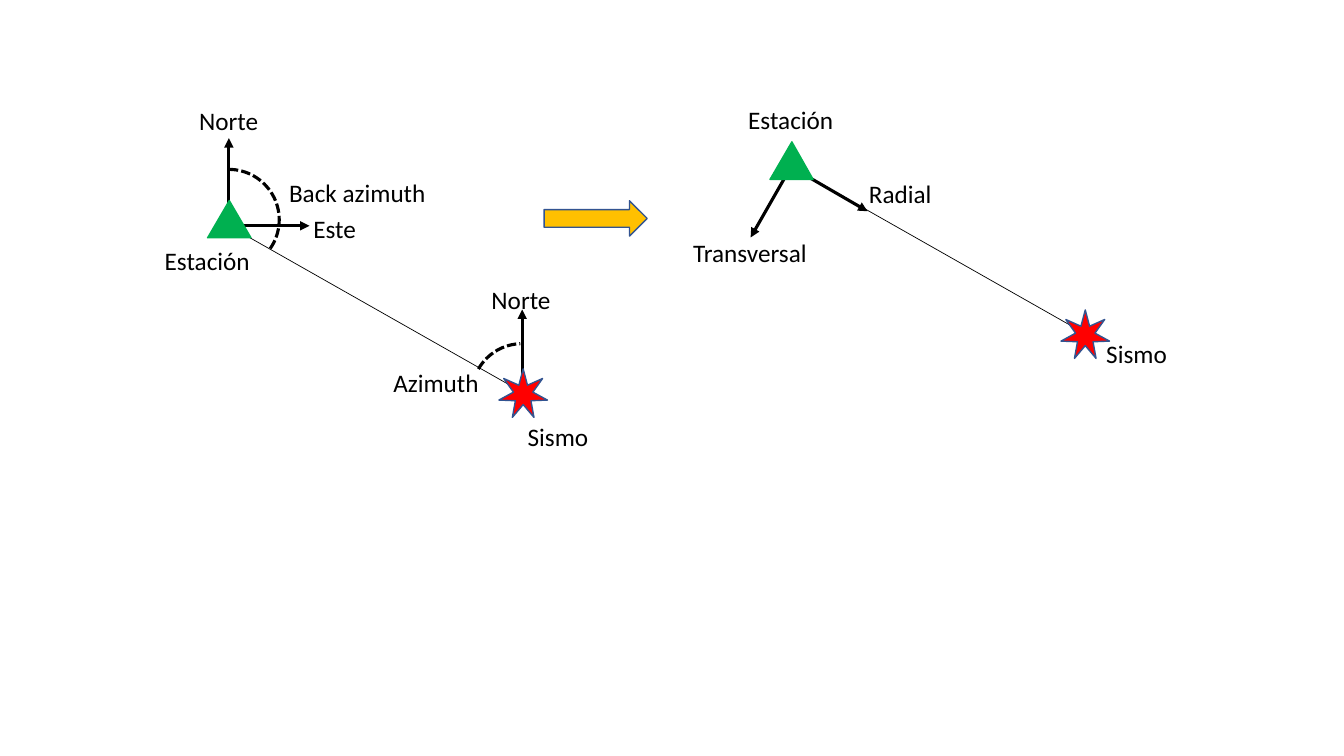
from lxml.etree import SubElement
from pptx import Presentation
from pptx.dml.color import RGBColor
from pptx.enum.dml import MSO_LINE
from pptx.enum.shapes import MSO_CONNECTOR, MSO_SHAPE
from pptx.enum.text import MSO_AUTO_SIZE, PP_ALIGN
from pptx.oxml.ns import qn
from pptx.util import Pt

BLACK, GREEN, RED, GOLD, OUTLINE = "000000", "00B050", "FF0000", "FFC000", "325491"


def color(hex_string):
    return RGBColor.from_string(hex_string)


def write_text(text_frame, text, font="Calibri", size=18, ink=BLACK, align=PP_ALIGN.CENTER):
    paragraph = text_frame.paragraphs[0]
    paragraph.alignment = align
    run = paragraph.add_run()
    run.text = text
    run.font.name = font
    run.font.size = Pt(size)
    run.font.color.rgb = color(ink)


class Diagram:
    """Holds the slide and the shared style of its elements."""
    thin, thick, border = 0.5, 2.25, 1
    label_height = 29
    star_size, arc_size = 34.6, 72
    triangle_width, triangle_height = 31, 26.6

    def __init__(self, slide):
        self.slide = slide

    def line(self, start, end, arrow=False):
        connector = self.slide.shapes.add_connector(
            MSO_CONNECTOR.STRAIGHT, *map(Pt, (*start, *end)))
        connector.line.color.rgb = color(BLACK)
        connector.line.width = Pt(self.thick if arrow else self.thin)
        properties = connector.element.spPr
        if arrow:
            SubElement(properties.find(qn("a:ln")), qn("a:tailEnd"), type="triangle")
        SubElement(properties, qn("a:effectLst"))

    def shape(self, kind, center, width, height, fill=None, line=OUTLINE, weight=border):
        left, top = center[0] - width / 2, center[1] - height / 2
        shape = self.slide.shapes.add_shape(kind, *map(Pt, (left, top, width, height)))
        shape.shadow.inherit = False
        if fill:
            shape.fill.solid()
            shape.fill.fore_color.rgb = color(fill)
        else:
            shape.fill.background()
        shape.line.color.rgb = color(line)
        shape.line.width = Pt(weight)
        return shape

    def quake(self, center):
        star = self.shape(MSO_SHAPE.STAR_7_POINT, center, self.star_size, self.star_size, RED)
        star.adjustments[0] = 0.2

    def station(self, center, rotation=0):
        triangle = self.shape(MSO_SHAPE.ISOSCELES_TRIANGLE, center, self.triangle_width,
                              self.triangle_height, GREEN, GREEN)
        triangle.rotation = rotation

    def angle(self, center, start, end):
        arc = self.shape(MSO_SHAPE.ARC, center, self.arc_size, self.arc_size,
                         line=BLACK, weight=self.thick)
        arc.line.dash_style = MSO_LINE.SQUARE_DOT
        # Angles are stored in 60000ths of a degree, adjustments in 100000ths
        for index, degrees in enumerate((start, end)):
            arc.adjustments[index] = degrees * 0.6

    def label(self, text, left, top, width):
        box = self.slide.shapes.add_textbox(*map(Pt, (left, top, width, self.label_height)))
        box.text_frame.word_wrap = True
        box.text_frame.auto_size = MSO_AUTO_SIZE.SHAPE_TO_FIT_TEXT
        write_text(box.text_frame, text)


def shift(point, dx, dy):
    return point[0] + dx, point[1] + dy


presentation = Presentation()
presentation.slide_width, presentation.slide_height = Pt(960), Pt(540)
diagram = Diagram(presentation.slides.add_slide(presentation.slide_layouts[6]))

RAY = (209.5, 118.8)  # from station to earthquake
NORTH, EAST = (0, -62.6), (57.6, 0)
RADIAL, TRANSVERSAL = (54.7, 31.7), (-28.8, 50.4)

# Left: geographic axes
station = (163.5, 161.3)
quake = shift(station, *RAY)
quake_axis = shift(quake, 0, 3.6)
diagram.line(quake_axis, shift(quake_axis, *NORTH), arrow=True)
for axis in (NORTH, EAST):
    diagram.line(station, shift(station, *axis), arrow=True)
diagram.line(station, quake)
diagram.quake(shift(quake, 0.7, 0.7))
diagram.station(shift(station, 0.3, -4.7))
diagram.angle(shift(station, 0, -4.3), 270, 37.5)

# Right: axes rotated along the ray
station_rotated = (565, 119.2)
quake_rotated = shift(station_rotated, *RAY)
diagram.line(station_rotated, quake_rotated)
diagram.quake(shift(quake_rotated, 0.7, 0.7))
for axis in (RADIAL, TRANSVERSAL):
    diagram.line(station_rotated, shift(station_rotated, *axis), arrow=True)
diagram.station(shift(station_rotated, 4.3, 2.2), rotation=120.2)

# Arrow between the two systems and angle at the earthquake
diagram.shape(MSO_SHAPE.RIGHT_ARROW, (425.5, 156), 73.6, 25.2, GOLD)
diagram.angle(shift(quake, 0, 1.4), 209.75, 267.86)

# Labels: text, left, top, by box width
LABELS = {
    126: [("Sismo", 335.5, 297.4), ("Sismo", 748.8, 238.3),
          ("Estación", 85, 172), ("Estación", 501.8, 71.3),
          ("Back azimuth", 192.2, 123.1), ("Azimuth", 248.4, 258.5)],
    100.8: [("Norte", 113, 72), ("Este", 188.6, 149), ("Radial", 592.6, 123.8),
            ("Transversal", 485.3, 165.6), ("Norte", 321.8, 199.4)],
}
for width, labels in LABELS.items():
    for text, left, top in labels:
        diagram.label(text, left, top, width)

presentation.save("out.pptx")
